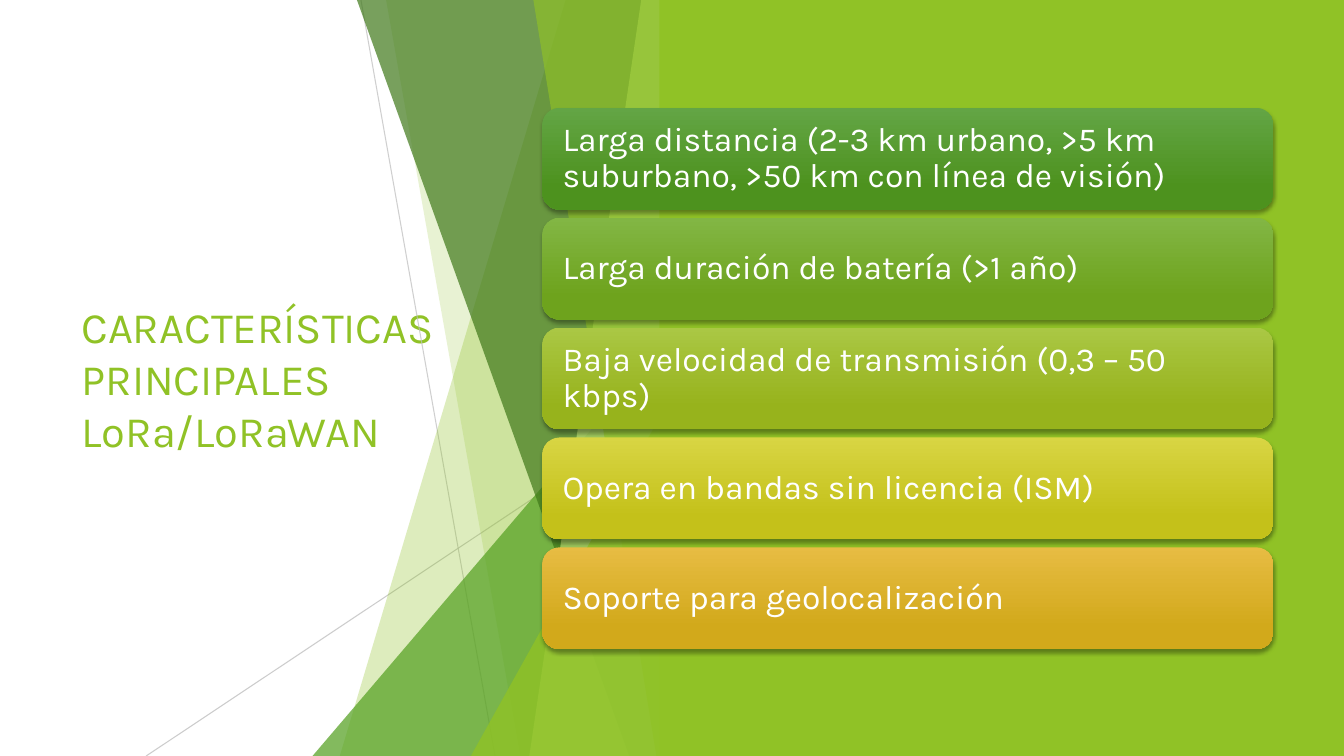
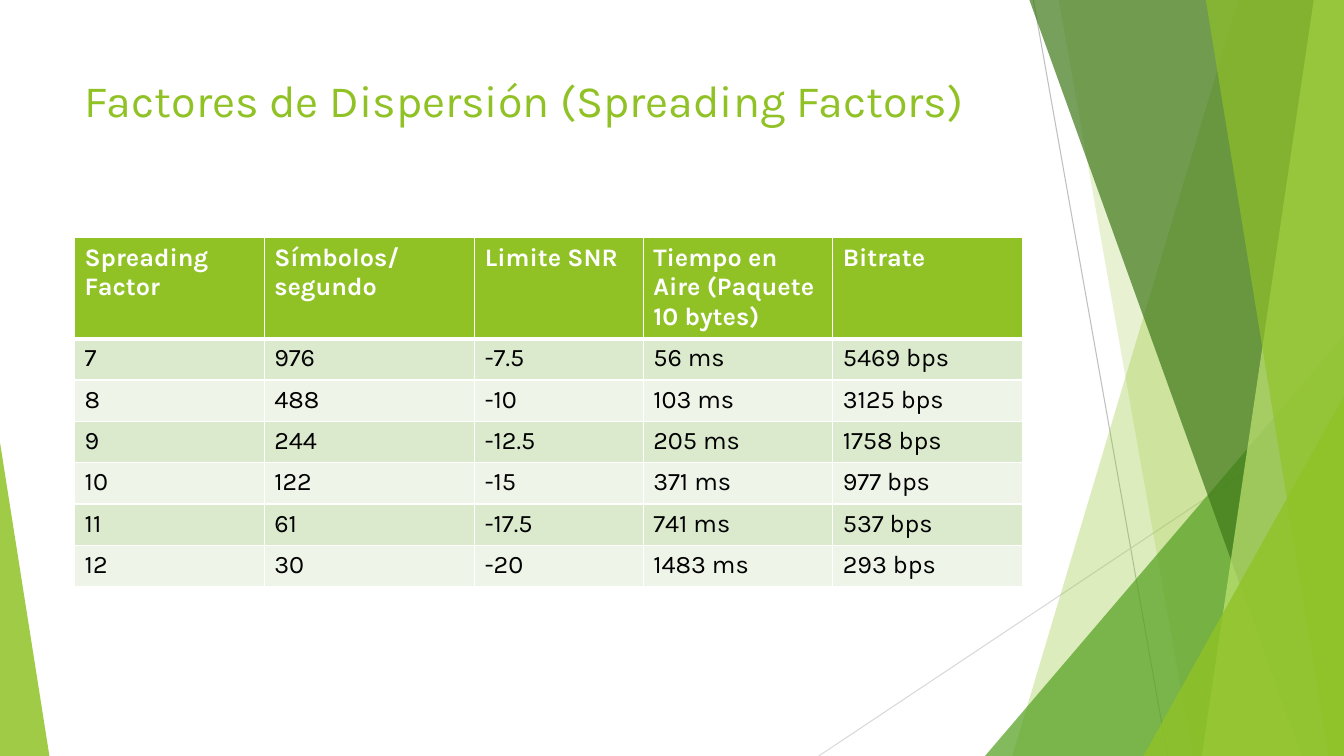
"""Build two slides on LoRa/LoRaWAN: main features and spreading factors."""
from dataclasses import dataclass

from lxml.etree import SubElement
from pptx import Presentation
from pptx.dml.color import RGBColor
from pptx.enum.shapes import MSO_CONNECTOR as CONN, MSO_SHAPE as SHAPE
from pptx.enum.text import MSO_ANCHOR as ANCHOR, PP_ALIGN as ALIGN
from pptx.oxml import parse_xml
from pptx.oxml.ns import nsdecls, qn
from pptx.util import Inches, Pt

FONT = "Karla"
GREEN = "90C226"
WHITE = "FFFFFF"
BLACK = "000000"
WIDTH, HEIGHT = 13.33, 7.5
PANEL_SHIFT = -6.67


@dataclass(frozen=True)
class Band:
    top_x: float
    bottom_x: float
    color: str
    alpha: int


@dataclass(frozen=True)
class Corner:
    left: float
    top: float
    color: str
    alpha: int


@dataclass(frozen=True)
class Ray:
    start: tuple[float, float]
    end: tuple[float, float]
    color: str
    alpha: int = 100


@dataclass(frozen=True)
class Card:
    text: str
    light: str
    dark: str


FACETS = [
    Band(12.28, 10.04, GREEN, 30),
    Band(10.5, 11.83, GREEN, 20),
    Corner(9.77, 3.33, "54A021", 72),
    Band(10.21, 12.91, "3F7819", 70),
    Band(13.03, 11.92, "C0E474", 70),
    Band(11.96, 13.18, GREEN, 65),
    Corner(11.34, 3.93, GREEN, 80),
]
STEEP = (10.25, 0), (11.58, HEIGHT)
SHALLOW = (WIDTH, 4.03), (8.12, HEIGHT)

CARDS = [
    Card("Larga distancia (2-3 km urbano, >5 km suburbano, >50 km con línea de visión)",
         "63A545", "4D921E"),
    Card("Larga duración de batería (>1 año)", "82B644", "6EA31D"),
    Card("Baja velocidad de transmisión (0,3 – 50 kbps)", "AAC744", "97B31C"),
    Card("Opera en bandas sin licencia (ISM)", "D8D543", "C4C11A"),
    Card("Soporte para geolocalización", "E7BC43", "D2A91B"),
]

COLUMN_WIDTHS = [1.88, 2.09, 1.67, 1.88, 1.88]
HEADER_HEIGHT, ROW_HEIGHT = 0.97, 0.41
FACTORS = [
    ("Spreading Factor", "Símbolos/segundo", "Limite SNR",
     "Tiempo en Aire (Paquete 10 bytes)", "Bitrate"),
    ("7", "976", "-7.5", "56 ms", "5469 bps"),
    ("8", "488", "-10", "103 ms", "3125 bps"),
    ("9", "244", "-12.5", "205 ms", "1758 bps"),
    ("10", "122", "-15", "371 ms", "977 bps"),
    ("11", "61", "-17.5", "741 ms", "537 bps"),
    ("12", "30", "-20", "1483 ms", "293 bps"),
]


def rgb(color: str) -> RGBColor:
    return RGBColor.from_string(color)


def set_alpha(sp, alpha: int) -> None:
    if alpha < 100:
        for clr in sp.element.spPr.iter(qn("a:srgbClr")):
            SubElement(clr, qn("a:alpha"), val=str(alpha * 1000))


def paint(sp, color: str, alpha: int = 100) -> None:
    sp.shadow.inherit = False
    sp.line.fill.background()
    sp.fill.solid()
    sp.fill.fore_color.rgb = rgb(color)
    set_alpha(sp, alpha)


def style_text(p, size: float, color: str, bold: bool = False) -> None:
    p.font.name = FONT
    p.font.size = Pt(size)
    p.font.bold = bold
    p.font.color.rgb = rgb(color)


def add_shape(s, kind, left: float, top: float, width: float, height: float):
    return s.shapes.add_shape(kind, Inches(left), Inches(top),
                              Inches(width), Inches(height))


def add_triangle(s, left: float, top: float, width: float, apex: float,
                 color: str, alpha: int) -> None:
    sp = add_shape(s, SHAPE.ISOSCELES_TRIANGLE, left, top, width, HEIGHT - top)
    sp.adjustments[0] = apex
    paint(sp, color, alpha)


def add_band(s, band: Band, dx: float) -> None:
    corners = [(band.top_x, 0), (WIDTH, 0), (WIDTH, HEIGHT), (band.bottom_x, HEIGHT)]
    points = [(Inches(x + dx), Inches(y)) for x, y in corners]
    builder = s.shapes.build_freeform(*points[0])
    builder.add_line_segments(points[1:], close=True)
    paint(builder.convert_to_shape(), band.color, band.alpha)


def add_ray(s, ray: Ray, dx: float) -> None:
    (x1, y1), (x2, y2) = ray.start, ray.end
    line = s.shapes.add_connector(CONN.STRAIGHT, Inches(x1 + dx), Inches(y1),
                                  Inches(x2 + dx), Inches(y2))
    line.line.width = Pt(0.75)
    line.line.color.rgb = rgb(ray.color)
    set_alpha(line, ray.alpha)
    SubElement(line.element.spPr, qn("a:effectLst"))


def add_facets(s, rays: list[Ray], dx: float = 0) -> None:
    for ray in rays:
        add_ray(s, ray, dx)
    for facet in FACETS:
        if isinstance(facet, Band):
            add_band(s, facet, dx)
        else:
            add_triangle(s, facet.left + dx, facet.top, WIDTH - facet.left, 1,
                         facet.color, facet.alpha)


def add_title(s, text: str, left: float, top: float, width: float, height: float,
              size: float, anchor=ANCHOR.TOP) -> None:
    tf = s.shapes.add_textbox(Inches(left), Inches(top),
                              Inches(width), Inches(height)).text_frame
    tf.word_wrap = True
    tf.vertical_anchor = anchor
    p = tf.paragraphs[0]
    p.text = text
    style_text(p, size, GREEN)


def add_card(s, card: Card, top: float, height: float) -> None:
    sp = add_shape(s, SHAPE.ROUNDED_RECTANGLE, 5.38, top, 7.25, height)
    sp.line.fill.background()
    sp.fill.gradient()
    sp.fill.gradient_angle = 270
    stops = zip(sp.fill.gradient_stops, (0, 0.78), (card.light, card.dark))
    for stop, position, color in stops:
        stop.position = position
        stop.color.rgb = rgb(color)
    sp.shadow.inherit = False
    sp.element.spPr.find(qn("a:effectLst")).append(parse_xml(
        f'<a:outerShdw {nsdecls("a")} blurRad="{Pt(3)}" dist="{Pt(2)}" dir="5400000"'
        f' rotWithShape="0"><a:srgbClr val="{BLACK}"><a:alpha val="35000"/>'
        '</a:srgbClr></a:outerShdw>'))
    tf = sp.text_frame
    tf.word_wrap = True
    tf.vertical_anchor = ANCHOR.MIDDLE
    tf.margin_left, tf.margin_right = Inches(0.15), Inches(0.1)
    p = tf.paragraphs[0]
    p.text = card.text
    p.alignment = ALIGN.LEFT
    p.line_spacing = 0.9
    style_text(p, 24, WHITE)


def set_borders(cell, top: float, bottom: float) -> None:
    widths = {"lnL": 1, "lnR": 1, "lnT": top, "lnB": bottom}
    for i, (side, width) in enumerate(widths.items()):
        cell._tc.get_or_add_tcPr().insert(i, parse_xml(
            f'<a:{side} {nsdecls("a")} w="{Pt(width)}"><a:solidFill>'
            f'<a:srgbClr val="{WHITE}"/></a:solidFill></a:{side}>'))


def add_factor_table(s) -> None:
    height = HEADER_HEIGHT + ROW_HEIGHT * (len(FACTORS) - 1)
    table = s.shapes.add_table(len(FACTORS), len(COLUMN_WIDTHS), Inches(0.74), Inches(2.36),
                               Inches(sum(COLUMN_WIDTHS)), Inches(height)).table
    for column, width in zip(table.columns, COLUMN_WIDTHS):
        column.width = Inches(width)
    for i, values in enumerate(FACTORS):
        header = i == 0
        table.rows[i].height = Inches(HEADER_HEIGHT if header else ROW_HEIGHT)
        fill = GREEN if header else ("EEF4E8", "DBE9CD")[i % 2]
        for j, value in enumerate(values):
            cell = table.cell(i, j)
            cell.fill.solid()
            cell.fill.fore_color.rgb = rgb(fill)
            set_borders(cell, 3 if i == 1 else 1, 3 if header else 1)
            p = cell.text_frame.paragraphs[0]
            p.text = value
            style_text(p, 18, WHITE if header else BLACK, header)


def build_features(s) -> None:
    add_title(s, "CARACTERÍSTICAS PRINCIPALES LoRa/LoRaWAN", 0.71, 1.51, 3.88, 4.48,
              31, ANCHOR.MIDDLE)
    add_facets(s, [Ray(*STEEP, "BFBFBF", 75), Ray(*SHALLOW, "BFBFBF", 80)], PANEL_SHIFT)
    paint(add_shape(s, SHAPE.RECTANGLE, 6.54, 0, WIDTH - 6.54, HEIGHT), GREEN)
    for i, card in enumerate(CARDS):
        add_card(s, card, 1.07 + 1.09 * i, 1.01)


def build_factors(s) -> None:
    add_facets(s, [Ray(*STEEP, "BFBFBF"), Ray(*SHALLOW, "D9D9D9")])
    add_triangle(s, 0, 4.39, 0.49, 0, GREEN, 85)
    add_title(s, "Factores de Dispersión (Spreading Factors)", 0.74, 0.67, 9.4, 1.44, 32)
    add_factor_table(s)


def main() -> None:
    prs = Presentation()
    prs.slide_width, prs.slide_height = Inches(WIDTH), Inches(HEIGHT)
    for build in (build_features, build_factors):
        build(prs.slides.add_slide(prs.slide_layouts[6]))
    prs.save("out.pptx")


if __name__ == "__main__":
    main()
